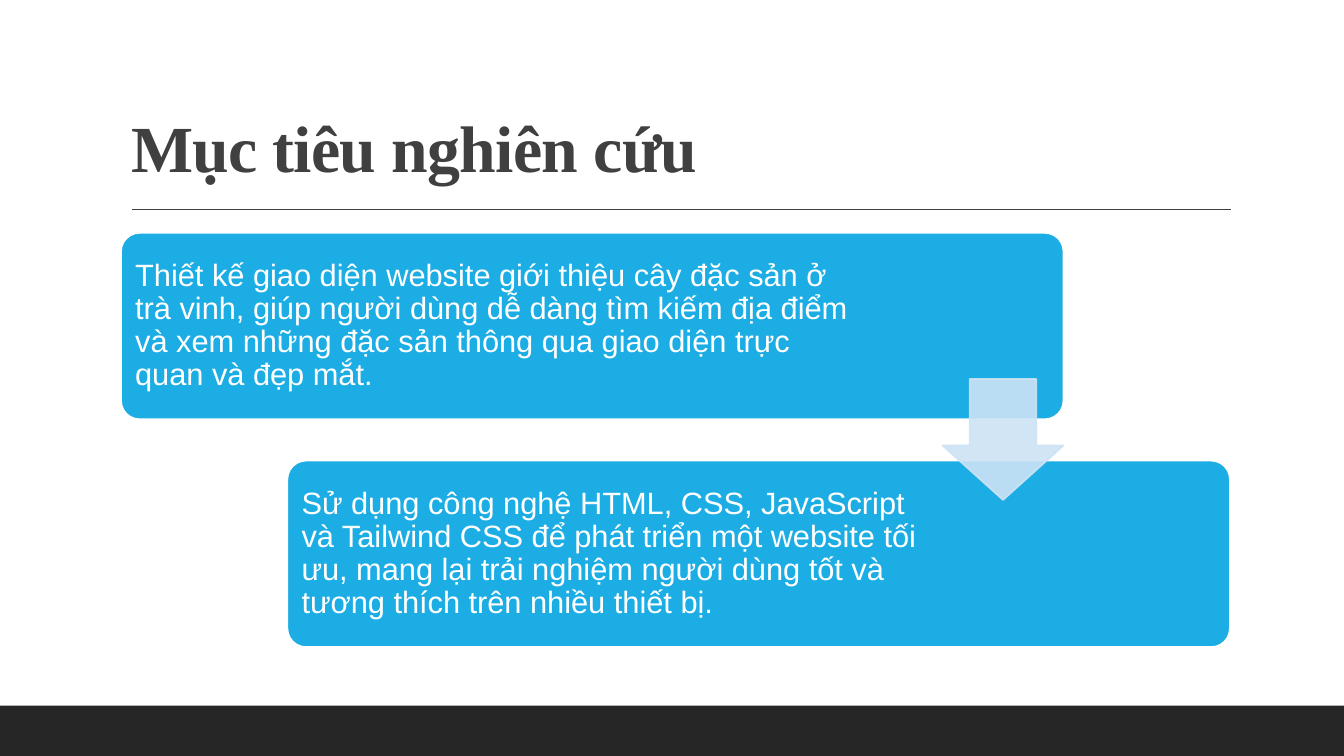
from dataclasses import dataclass

import pptx
import pptx.dml.color
import pptx.enum.shapes
import pptx.enum.text
import pptx.oxml.ns
import pptx.shapes.autoshape
import pptx.slide
import pptx.text.text
import pptx.util
from lxml import etree

SLIDE_WIDTH = pptx.util.Inches(13.33)
SLIDE_HEIGHT = pptx.util.Inches(7.5)

DARK_BAND = "262626"
DARK_TEXT = "404040"
WHITE = "FFFFFF"
CARD_BLUE = "1CADE4"
ARROW_BLUE = "CDE3F5"


@dataclass(frozen=True)
class Area:
    """A rectangle in percent of the slide's width and height."""
    left: float
    top: float
    width: float
    height: float

    def lengths(self) -> tuple[int, int, int, int]:
        return (across(self.left), down(self.top), across(self.width), down(self.height))


@dataclass(frozen=True)
class Goal:
    text: str
    text_width: float


FIRST_CARD = Area(9, 30.8, 70.13, 24.67)
CARD_STEP_ACROSS = 12.38
CARD_STEP_DOWN = 30.13
TEXT_OFFSET_ACROSS = 0.38
TEXT_OFFSET_DOWN = 0.7

GOALS = [
    Goal("Thiết kế giao diện website giới thiệu cây đặc sản ở trà vinh, giúp người dùng "
         "dễ dàng tìm kiếm địa điểm và xem những đặc sản thông qua giao diện trực quan "
         "và đẹp mắt.", 55.8),
    Goal("Sử dụng công nghệ HTML, CSS, JavaScript và Tailwind CSS để phát triển một "
         "website tối ưu, mang lại trải nghiệm người dùng tốt và tương thích trên nhiều "
         "thiết bị.", 47.93),
]


def across(percent: float) -> int:
    return round(SLIDE_WIDTH * percent / 100)


def down(percent: float) -> int:
    return round(SLIDE_HEIGHT * percent / 100)


def color(hex_value: str) -> pptx.dml.color.RGBColor:
    return pptx.dml.color.RGBColor.from_string(hex_value)


def format_paragraph(paragraph: pptx.text.text._Paragraph, font_name: str, size: float,
                     text_color: str, bold: bool = False) -> None:
    paragraph.alignment = pptx.enum.text.PP_ALIGN.LEFT
    paragraph.line_spacing = 0.9
    paragraph.font.name = font_name
    paragraph.font.size = pptx.util.Pt(size)
    paragraph.font.bold = bold
    paragraph.font.color.rgb = color(text_color)


def add_filled_shape(slide: pptx.slide.Slide, kind: pptx.enum.shapes.MSO_SHAPE, area: Area,
                     fill: str, line: str | None = None,
                     adjustments: tuple[float, ...] = ()) -> pptx.shapes.autoshape.Shape:
    shape = slide.shapes.add_shape(kind, *area.lengths())
    shape.shadow.inherit = False
    shape.fill.solid()
    shape.fill.fore_color.rgb = color(fill)
    if line:
        shape.line.color.rgb = color(line)
        shape.line.width = pptx.util.Pt(1.25)
    else:
        shape.line.fill.background()
    for index, value in enumerate(adjustments):
        shape.adjustments[index] = value
    return shape


def set_opacity(shape: pptx.shapes.autoshape.Shape, percent: int) -> None:
    """Make both the fill and the outline partly transparent."""
    for solid_color in shape._element.spPr.iter(pptx.oxml.ns.qn("a:srgbClr")):
        alpha = etree.SubElement(solid_color, pptx.oxml.ns.qn("a:alpha"))
        alpha.set("val", str(percent * 1000))


def add_title(slide: pptx.slide.Slide, text: str) -> None:
    title = slide.shapes.title
    title.left, title.top, title.width, title.height = Area(9, 4.13, 82.5, 21.2).lengths()
    frame = title.text_frame
    frame.text = text
    frame.word_wrap = True
    frame.auto_size = pptx.enum.text.MSO_AUTO_SIZE.NONE
    frame.vertical_anchor = pptx.enum.text.MSO_ANCHOR.BOTTOM
    paragraph = frame.paragraphs[0]
    format_paragraph(paragraph, "Times New Roman", 47, DARK_TEXT, bold=True)
    paragraph.runs[0]._r.get_or_add_rPr().set("spc", "-50")


def add_title_rule(slide: pptx.slide.Slide) -> None:
    height = down(27.7)
    rule = slide.shapes.add_connector(pptx.enum.shapes.MSO_CONNECTOR.STRAIGHT,
                                      across(9.82), height, across(91.58), height)
    rule.line.color.rgb = color(DARK_TEXT)
    rule.line.width = pptx.util.Pt(1)
    etree.SubElement(rule._element.spPr, pptx.oxml.ns.qn("a:effectLst"))


def add_goal(slide: pptx.slide.Slide, goal: Goal, step: int) -> None:
    card = Area(FIRST_CARD.left + step * CARD_STEP_ACROSS,
                FIRST_CARD.top + step * CARD_STEP_DOWN,
                FIRST_CARD.width, FIRST_CARD.height)
    add_filled_shape(slide, pptx.enum.shapes.MSO_SHAPE.ROUNDED_RECTANGLE, card,
                     CARD_BLUE, WHITE, (0.1,))
    text_area = Area(card.left + TEXT_OFFSET_ACROSS, card.top + TEXT_OFFSET_DOWN,
                     goal.text_width, card.height - 2 * TEXT_OFFSET_DOWN)
    frame = slide.shapes.add_textbox(*text_area.lengths()).text_frame
    frame.word_wrap = True
    frame.vertical_anchor = pptx.enum.text.MSO_ANCHOR.MIDDLE
    inset = pptx.util.Inches(0.09)
    frame.margin_left = frame.margin_right = frame.margin_top = frame.margin_bottom = inset
    frame.text = goal.text
    format_paragraph(frame.paragraphs[0], "Arial", 22, WHITE)


def main() -> None:
    presentation = pptx.Presentation()
    presentation.slide_width = SLIDE_WIDTH
    presentation.slide_height = SLIDE_HEIGHT
    slide = presentation.slides.add_slide(presentation.slide_layouts.get_by_name("Title Only"))

    add_filled_shape(slide, pptx.enum.shapes.MSO_SHAPE.RECTANGLE,
                     Area(0, 93.33, 100, 6.67), DARK_BAND)
    add_title_rule(slide)
    add_title(slide, "Mục tiêu nghiên cứu")
    for step, goal in enumerate(GOALS):
        add_goal(slide, goal, step)
    arrow = add_filled_shape(slide, pptx.enum.shapes.MSO_SHAPE.DOWN_ARROW,
                             Area(70.13, 50.13, 9, 16), ARROW_BLUE, ARROW_BLUE, (0.55, 0.45))
    set_opacity(arrow, 90)

    presentation.save("out.pptx")


if __name__ == "__main__":
    main()
